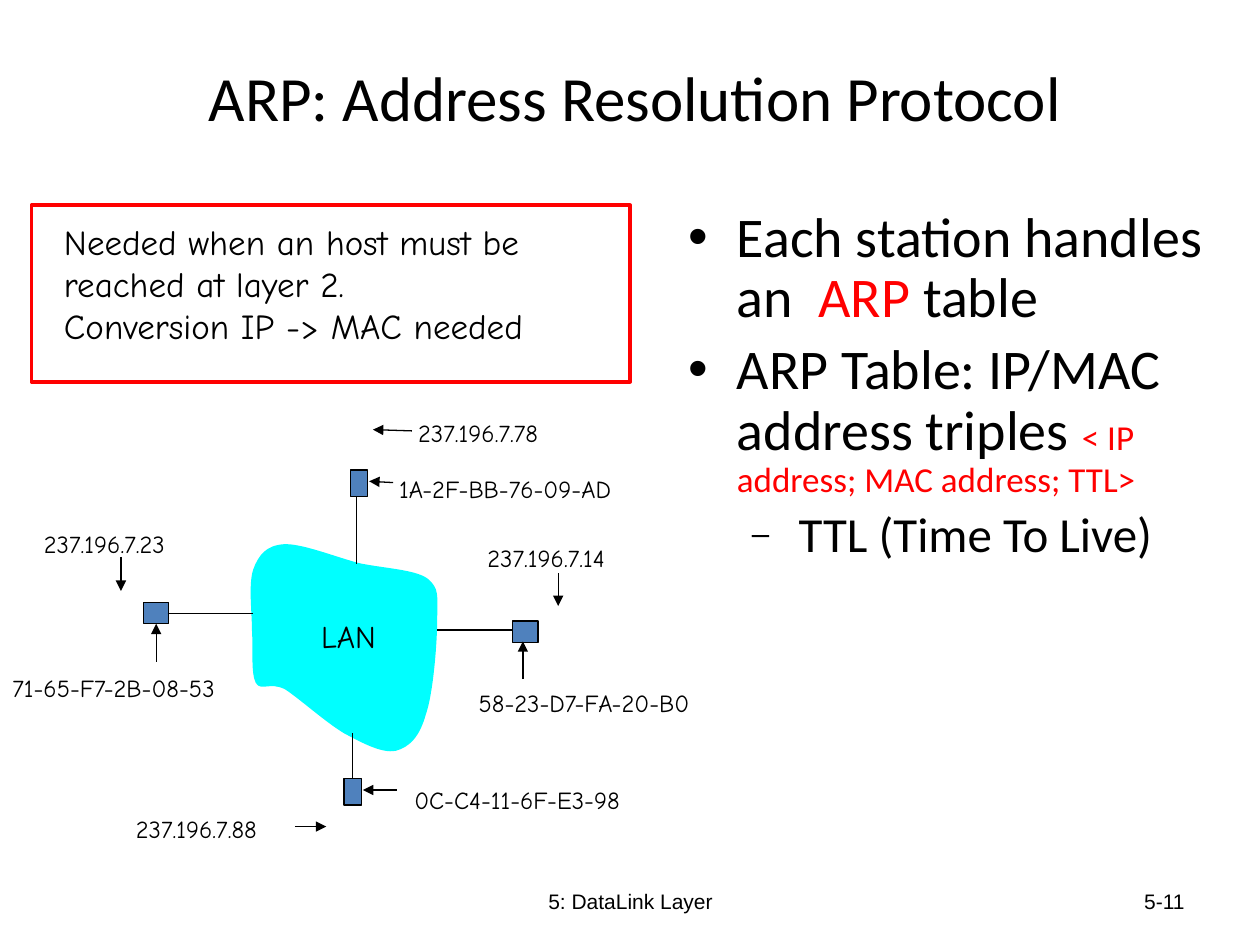
"""Builds a slide on the Address Resolution Protocol with a small LAN diagram."""
from dataclasses import dataclass

import lxml.etree
import pptx
import pptx.dml.color
import pptx.enum.shapes
import pptx.enum.text
import pptx.oxml.ns
import pptx.util

SCALE = 9144
BLACK, RED, CYAN, BLUE = "000000", "FF0000", "00FFFF", "4F81BD"
ALIGN = pptx.enum.text.PP_ALIGN
ANCHOR = pptx.enum.text.MSO_ANCHOR
RECTANGLE = pptx.enum.shapes.MSO_SHAPE.RECTANGLE


@dataclass
class Label:
    text: str
    left: int
    top: int
    width: int
    height: int = 33
    size: int = 14
    font: str = "Comic Neue"
    align: ALIGN = ALIGN.LEFT
    anchor: ANCHOR = ANCHOR.TOP


@dataclass
class Station:
    left: int
    top: int
    width: int
    height: int


@dataclass
class Wire:
    start: tuple[int, int]
    end: tuple[int, int]
    arrow: bool = True


@dataclass
class Span:
    text: str
    color: str = BLACK
    size: int | None = None


@dataclass
class Bullet:
    spans: list[Span]
    size: int = 32
    mark: str = "•"
    mark_percent: int = 100
    margin: int = 38
    hanging: int = 38
    before: float = 0
    level: int = 0


HEADINGS = [
    Label("ARP: Address Resolution Protocol", 56, 27, 896, 99, 36, "Calibri", ALIGN.CENTER, ANCHOR.MIDDLE),
    Label("5: DataLink Layer", 342, 695, 317, 40, 12, "Arial", ALIGN.CENTER, ANCHOR.MIDDLE),
    Label("5-11", 717, 695, 233, 40, 12, "Arial", ALIGN.RIGHT, ANCHOR.MIDDLE),
    Label("Needed when an host must be\nreached at layer 2.\nConversion IP -> MAC needed", 41, 170, 420, 111, 20),
]
LABELS = [
    Label("1A-2F-BB-76-09-AD", 307, 371, 208),
    Label("58-23-D7-FA-20-B0", 370, 541, 208),
    Label("0C-C4-11-6F-E3-98", 319, 618, 196),
    Label("71-65-F7-2B-08-53", 0, 529, 200),
    Label("LAN", 245, 485, 69, 40, 18),
    Label("237.196.7.23", 25, 415, 138),
    Label("237.196.7.78", 322, 327, 138),
    Label("237.196.7.14", 377, 426, 135),
    Label("237.196.7.88", 98, 641, 138),
]
STATIONS = [
    Station(407, 493, 20, 17),
    Station(114, 478, 20, 17),
    Station(278, 373, 14, 21),
    Station(273, 618, 14, 21),
]
WIRES = [
    Wire((133, 487), (201, 487), False),
    Wire((283, 394), (283, 448), False),
    Wire((407, 500), (347, 500), False),
    Wire((280, 618), (280, 582), False),
    Wire((312, 383), (293, 382)),
    Wire((415, 539), (415, 509)),
    Wire((315, 627), (288, 627)),
    Wire((124, 525), (124, 495)),
    Wire((96, 442), (96, 469)),
    Wire((327, 342), (296, 341)),
    Wire((443, 455), (443, 481)),
    Wire((234, 656), (259, 656)),
]
BULLETS = [
    Bullet([Span("Each station handles an  "), Span("ARP ", RED), Span("table")]),
    Bullet([Span("ARP Table: IP/MAC address triples "),
            Span("< IP address; MAC address; TTL>", RED, 20)], before=6.4),
    Bullet([Span("TTL (Time To Live)")], 28, "–", 64, 87, 37, 5.6, 1),
]
CLOUD_START = (225, 432)
CLOUD_CURVES = [
    ((211, 433), (205, 441), (201, 452)),
    ((197, 464), (200, 486), (200, 501)),
    ((201, 516), (199, 534), (203, 542)),
    ((207, 549), (214, 541), (226, 547)),
    ((237, 554), (258, 573), (273, 582)),
    ((288, 590), (303, 598), (314, 596)),
    ((325, 593), (333, 585), (338, 567)),
    ((344, 550), (347, 509), (347, 491)),
    ((347, 473), (349, 467), (339, 459)),
    ((329, 452), (304, 451), (285, 447)),
    ((266, 442), (239, 431), (225, 432)),
]


def px(length: int) -> int:
    return length * SCALE


def rgb(color: str) -> pptx.dml.color.RGBColor:
    return pptx.dml.color.RGBColor.from_string(color)


def add_element(parent, tag: str, **attributes: str) -> None:
    lxml.etree.SubElement(parent, pptx.oxml.ns.qn(tag), attributes)


def set_font(font, name: str, size: int) -> None:
    font.name, font.size = name, pptx.util.Pt(size)
    font.color.rgb = rgb(BLACK)


def draw_label(page, label: Label) -> None:
    box = page.shapes.add_textbox(px(label.left), px(label.top), px(label.width), px(label.height))
    frame = box.text_frame
    frame.word_wrap, frame.vertical_anchor = True, label.anchor
    frame.text = label.text
    for para in frame.paragraphs:
        para.alignment = label.align
        set_font(para.font, label.font, label.size)


def draw_rectangle(page, area: Station, fill: str | None, line: str, weight: float) -> None:
    box = page.shapes.add_shape(RECTANGLE, px(area.left), px(area.top), px(area.width), px(area.height))
    box.shadow.inherit = False
    if fill:
        box.fill.solid()
        box.fill.fore_color.rgb = rgb(fill)
    else:
        box.fill.background()
    box.line.color.rgb, box.line.width = rgb(line), pptx.util.Pt(weight)


def draw_wire(page, wire: Wire) -> None:
    line = page.shapes.add_connector(
        pptx.enum.shapes.MSO_CONNECTOR.STRAIGHT, *map(px, wire.start + wire.end))
    line.line.color.rgb, line.line.width = rgb(BLACK), pptx.util.Pt(0.75)
    properties = line._element.spPr
    if wire.arrow:
        add_element(properties.find(pptx.oxml.ns.qn("a:ln")), "a:tailEnd", type="triangle")
    add_element(properties, "a:effectLst")


def bend_segments(shape) -> None:
    """Joins every three straight segments of a freeform into one cubic curve."""
    segments = list(shape._element.iter(pptx.oxml.ns.qn("a:lnTo")))
    for first, second, end in zip(*[iter(segments)] * 3):
        first.tag = pptx.oxml.ns.qn("a:cubicBezTo")
        for segment in (second, end):
            first.append(segment[0])
            segment.getparent().remove(segment)


def draw_cloud(page) -> None:
    builder = page.shapes.build_freeform(*CLOUD_START, scale=SCALE)
    builder.add_line_segments([point for curve in CLOUD_CURVES for point in curve], close=True)
    cloud = builder.convert_to_shape()
    bend_segments(cloud)
    cloud.shadow.inherit = False
    cloud.fill.solid()
    cloud.fill.fore_color.rgb = rgb(CYAN)
    cloud.line.fill.background()


def draw_bullets(page, bullets: list[Bullet]) -> None:
    frame = page.shapes.add_textbox(px(537), px(161), px(436), px(508)).text_frame
    frame.word_wrap = True
    for index, bullet in enumerate(bullets):
        para = frame.add_paragraph() if index else frame.paragraphs[0]
        para.level = bullet.level
        properties = para._p.get_or_add_pPr()
        properties.set("marL", str(px(bullet.margin)))
        properties.set("indent", str(-px(bullet.hanging)))
        add_element(properties, "a:buSzPct", val=str(bullet.mark_percent * 1000))
        add_element(properties, "a:buFont", typeface="Arial")
        add_element(properties, "a:buChar", char=bullet.mark)
        para.line_spacing, para.space_before = 0.9, pptx.util.Pt(bullet.before)
        set_font(para.font, "Calibri", bullet.size)
        for span in bullet.spans:
            run = para.add_run()
            run.text = span.text
            run.font.color.rgb = rgb(span.color)
            if span.size:
                run.font.size = pptx.util.Pt(span.size)


deck = pptx.Presentation()
deck.slide_width, deck.slide_height = px(1000), px(750)
page = deck.slides.add_slide(deck.slide_layouts[6])
for heading in HEADINGS:
    draw_label(page, heading)
draw_bullets(page, BULLETS)
draw_rectangle(page, Station(25, 163, 475, 140), None, RED, 2.25)
draw_cloud(page)
for station in STATIONS:
    draw_rectangle(page, station, BLUE, BLACK, 0.75)
for wire in WIRES:
    draw_wire(page, wire)
for label in LABELS:
    draw_label(page, label)
deck.save("out.pptx")
